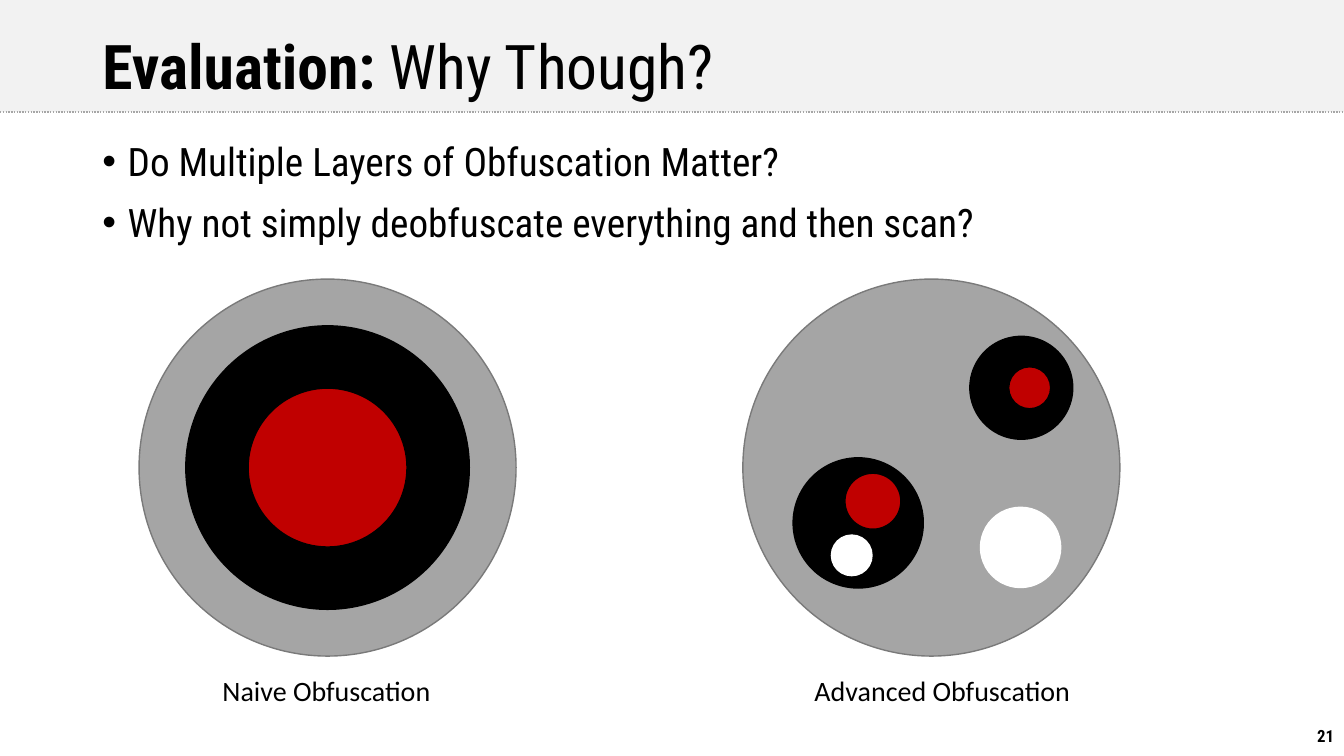
from lxml import etree
from pptx import Presentation
from pptx import util as u
from pptx.dml.color import RGBColor
from pptx.enum import dml, shapes, text
from pptx.oxml import ns

BLACK = RGBColor(0x00, 0x00, 0x00)
WHITE = RGBColor(0xFF, 0xFF, 0xFF)
RED = RGBColor(0xC0, 0x00, 0x00)
GRAY = RGBColor(0xA5, 0xA5, 0xA5)
OUTLINE = RGBColor(0x7A, 0x7A, 0x7A)
BAND = RGBColor(0xF2, 0xF2, 0xF2)
RULE = RGBColor(0xA6, 0xA6, 0xA6)
HEAD_FONT = "Roboto Condensed"
LABEL_FONT = "Calibri"
WIDTH, HEIGHT = 960, 540
BAND_HEIGHT = 80


def add_run(p, content, size=28, font=HEAD_FONT, bold=False, color=BLACK):
    r = p.add_run()
    r.text = content
    r.font.size = u.Pt(size)
    r.font.name = font
    r.font.bold = bold
    r.font.color.rgb = color


class SlideBuilder:
    def __init__(self, prs):
        self.s = prs.slides.add_slide(prs.slide_layouts[1])
        self.title_sp = self.s.shapes.title
        self.body_sp = self.s.placeholders[1]

    def place(self, sp, left, top, width, height, anchor):
        sp.left, sp.top = u.Pt(left), u.Pt(top)
        sp.width, sp.height = u.Pt(width), u.Pt(height)
        tf = sp.text_frame
        tf.word_wrap = True
        tf.auto_size = text.MSO_AUTO_SIZE.NONE
        tf.vertical_anchor = anchor
        return tf

    def band(self):
        sp = self.s.shapes.add_shape(shapes.MSO_SHAPE.RECTANGLE, 0, 0, u.Pt(WIDTH), u.Pt(BAND_HEIGHT))
        sp.shadow.inherit = False
        sp.fill.solid()
        sp.fill.fore_color.rgb = BAND
        sp.line.fill.background()
        y = u.Pt(BAND_HEIGHT)
        rule = self.s.shapes.add_connector(shapes.MSO_CONNECTOR.STRAIGHT, 0, y, u.Pt(WIDTH), y)
        rule.line.color.rgb = RULE
        rule.line.width = u.Pt(1)
        rule.line.dash_style = dml.MSO_LINE.ROUND_DOT
        etree.SubElement(rule.element.spPr, ns.qn("a:effectLst"))
        for shape in (sp, rule):
            self.title_sp.element.addprevious(shape.element)

    def title(self, lead, rest):
        tf = self.place(self.title_sp, 66, 16.5, 828, 67, text.MSO_ANCHOR.MIDDLE)
        p = tf.paragraphs[0]
        p.alignment = text.PP_ALIGN.LEFT
        p.line_spacing = 0.9
        add_run(p, lead, size=44, bold=True)
        add_run(p, rest, size=44)

    def bullets(self, items):
        tf = self.place(self.body_sp, 66, 94.5, 828, 406.5, text.MSO_ANCHOR.TOP)
        for i, item in enumerate(items):
            p = tf.add_paragraph() if i else tf.paragraphs[0]
            p.space_before = u.Pt(10 if i else 0)
            pPr = p._p.get_or_add_pPr()
            pPr.set("marL", str(u.Pt(18)))
            pPr.set("indent", str(-u.Pt(18)))
            etree.SubElement(pPr, ns.qn("a:buFont")).set("typeface", "Arial")
            etree.SubElement(pPr, ns.qn("a:buChar")).set("char", "•")
            add_run(p, item)

    def label(self, content, left, top, width, height, align=text.PP_ALIGN.CENTER,
              anchor=text.MSO_ANCHOR.TOP, **fmt):
        sp = self.s.shapes.add_textbox(0, 0, 0, 0)
        p = self.place(sp, left, top, width, height, anchor).paragraphs[0]
        p.alignment = align
        add_run(p, content, **fmt)

    def circle(self, x, y, diameter, fill, line=None):
        d = u.Pt(diameter)
        sp = self.s.shapes.add_shape(shapes.MSO_SHAPE.OVAL, u.Pt(x - diameter / 2),
                                     u.Pt(y - diameter / 2), d, d)
        sp.shadow.inherit = False
        sp.fill.solid()
        sp.fill.fore_color.rgb = fill
        if line is None:
            sp.line.fill.background()
        else:
            sp.line.color.rgb = line
            sp.line.width = u.Pt(1)


def main():
    prs = Presentation()
    prs.slide_width, prs.slide_height = u.Pt(WIDTH), u.Pt(HEIGHT)
    b = SlideBuilder(prs)
    b.band()
    b.title("Evaluation: ", "Why Though?")
    b.bullets(["Do Multiple Layers of Obfuscation Matter?",
               "Why not simply deobfuscate everything and then scan?"])
    b.label("21", 823, 511, 137, 29, align=text.PP_ALIGN.RIGHT,
            anchor=text.MSO_ANCHOR.MIDDLE, size=12, bold=True)

    naive = [(234, 334, 269.3, GRAY, OUTLINE),
             (234, 334, 202.5, BLACK, BLACK),
             (234, 334, 113.5, RED, BLACK)]
    advanced = [(665.3, 334, 269.3, GRAY, OUTLINE),
                (729.5, 277, 73.5, BLACK, BLACK),
                (735.5, 277, 30, RED, BLACK),
                (613, 373.5, 93, BLACK, BLACK),
                (623.5, 358, 40, RED, BLACK),
                (729, 391, 58.3, WHITE),
                (608.4, 396.7, 30, WHITE)]
    for circle in naive + advanced:
        b.circle(*circle)

    for caption, left in (("Naive Obfuscation", 90.7), ("Advanced Obfuscation", 530.6)):
        b.label(caption, left, 477.4, 285, 31.5, size=20, font=LABEL_FONT)
    prs.save("out.pptx")


if __name__ == "__main__":
    main()
